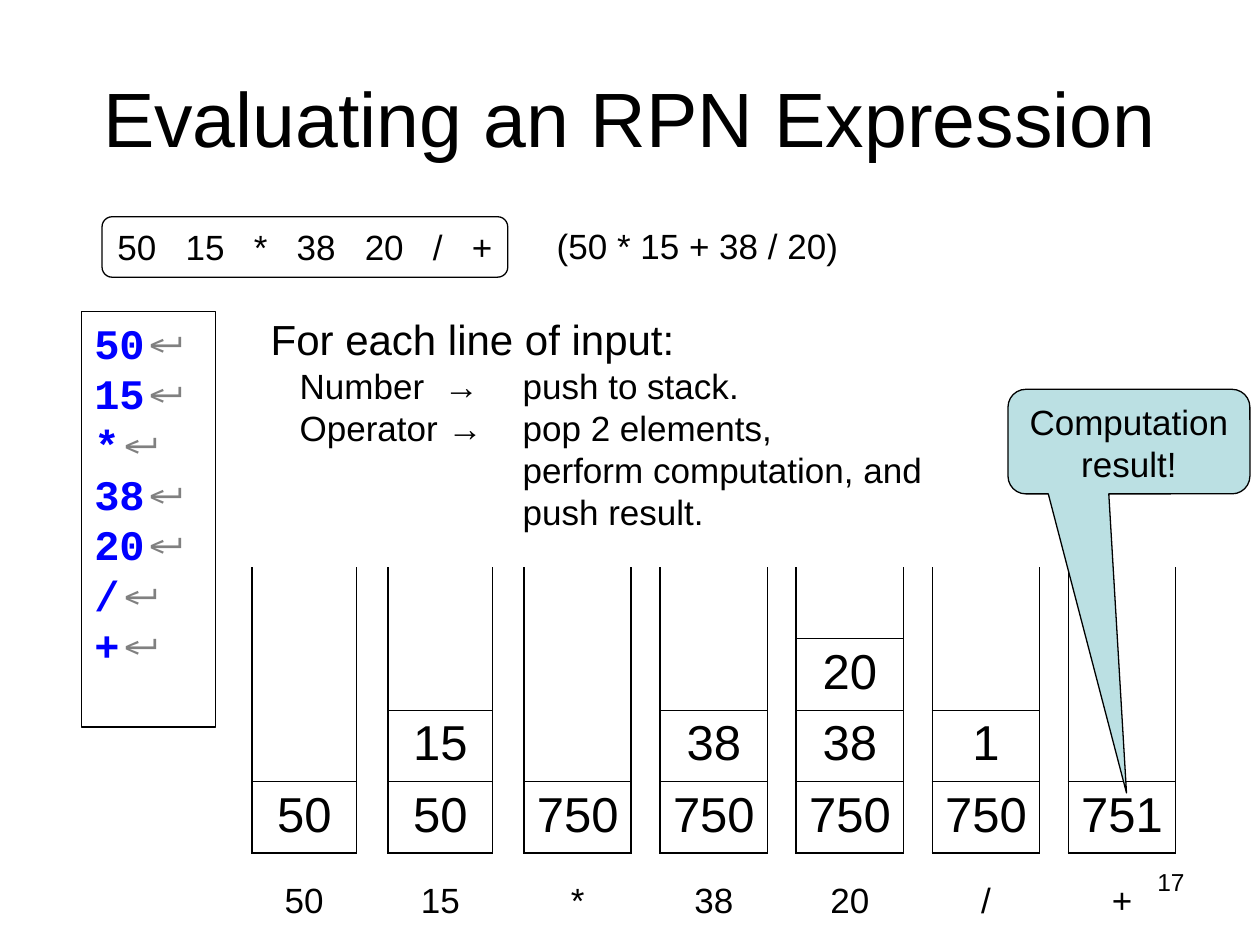
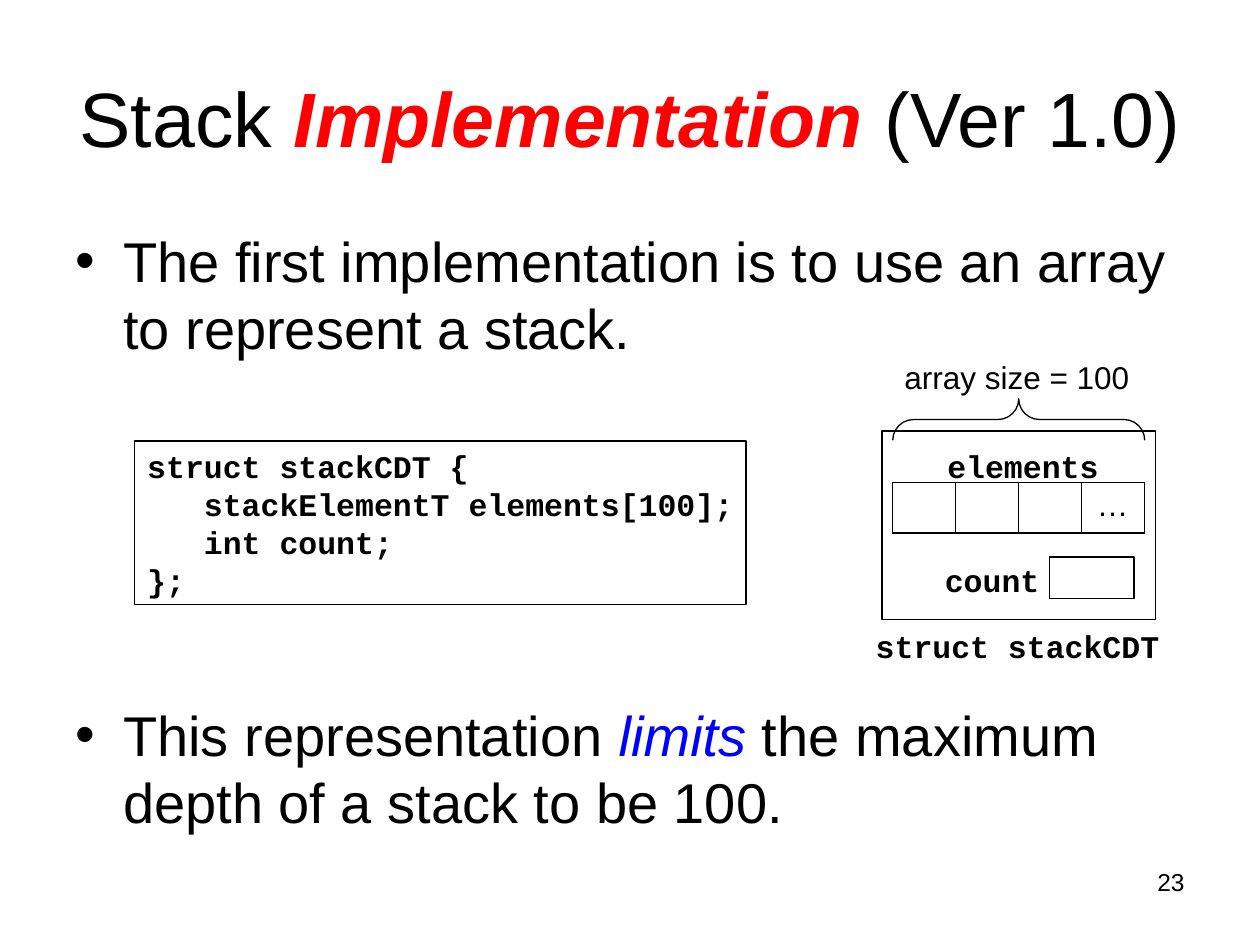
"""Build two lecture slides about evaluating RPN expressions and implementing stacks."""
from dataclasses import dataclass, field
from typing import Any, Optional

import pptx
import pptx.dml.color
import pptx.enum.shapes
import pptx.enum.text
import pptx.oxml.ns
import pptx.util
from lxml import etree
from pptx.util import Inches

BLACK = pptx.dml.color.RGBColor(0x00, 0x00, 0x00)
BLUE = pptx.dml.color.RGBColor(0x00, 0x00, 0xFF)
RED = pptx.dml.color.RGBColor(0xFF, 0x00, 0x00)
GRAY = pptx.dml.color.RGBColor(0x80, 0x80, 0x80)
PALE_TEAL = pptx.dml.color.RGBColor(0xBB, 0xE0, 0xE3)

LEFT = pptx.enum.text.PP_ALIGN.LEFT
CENTER = pptx.enum.text.PP_ALIGN.CENTER
RIGHT = pptx.enum.text.PP_ALIGN.RIGHT
TOP = pptx.enum.text.MSO_ANCHOR.TOP
MIDDLE = pptx.enum.text.MSO_ANCHOR.MIDDLE
SHAPES = pptx.enum.shapes.MSO_SHAPE

LINE_FACTOR = 1.2
THIN, FINE, SIDE = 0.45, 0.75, 1.08
ARIAL = {"name": "Arial", "bold": False, "italic": False}
CODE = {"name": "Courier New", "bold": True}
INPUT_TOKENS = ["50", "15", "*", "38", "20", "/", "+"]


@dataclass
class Run:
    """A stretch of text with its own format and letter spacing in points."""
    text: str
    format: dict[str, Any] = field(default_factory=dict)
    color: pptx.dml.color.RGBColor = BLACK
    spacing: float = 0


@dataclass
class Line:
    """A paragraph with its size and indents."""
    runs: list[Run]
    size: float
    align: Any = LEFT
    margin: float = 0
    indent: float = 0
    bullet: str = ""
    space_before: float = 0


@dataclass
class Box:
    """The place of a shape in inches."""
    left: float
    top: float
    width: float
    height: float

    def lengths(self) -> list[pptx.util.Length]:
        """Return left, top, width and height as lengths."""
        return [Inches(value) for value in (self.left, self.top, self.width, self.height)]


@dataclass
class StackState:
    """The stack after one input token, listed from top to bottom."""
    token: str
    values: list[str]
    width: float = 0.85


STACK_STATES = [
    StackState("50", ["50"], 0.83),
    StackState("15", ["15", "50"], 0.83),
    StackState("*", ["750"]),
    StackState("38", ["38", "750"]),
    StackState("20", ["20", "38", "750"]),
    StackState("/", ["1", "750"]),
    StackState("+", ["751"]),
]


def add_element(parent: Any, tag: str, **attributes: str) -> Any:
    """Append a drawing element to its parent."""
    return etree.SubElement(parent, pptx.oxml.ns.qn(tag), attributes)


def plain(text: str, size: float, align: Any = LEFT, **options: Any) -> Line:
    """Return a line with a single Arial run."""
    return Line([Run(text)], size, align, **options)


def code(text: str, align: Any = LEFT) -> Line:
    """Return a line of bold code."""
    return Line([Run(text, CODE)], 18, align)


def write(frame: Any, lines: list[Line]) -> None:
    """Write formatted lines into a text frame."""
    for index, line in enumerate(lines):
        paragraph = frame.add_paragraph() if index else frame.paragraphs[0]
        properties = paragraph._p.get_or_add_pPr()
        properties.set("marL", str(Inches(line.margin)))
        properties.set("indent", str(Inches(line.indent)))
        if line.bullet:
            add_element(properties, "a:buFont", typeface="Arial")
            add_element(properties, "a:buChar", char=line.bullet)
        settings = {
            "alignment": line.align,
            "line_spacing": pptx.util.Pt(LINE_FACTOR * line.size),
            "space_before": pptx.util.Pt(line.space_before),
        }
        for name, value in settings.items():
            setattr(paragraph, name, value)
        for part in line.runs:
            run = paragraph.add_run()
            run.text = part.text
            for name, value in (ARIAL | {"size": pptx.util.Pt(line.size)} | part.format).items():
                setattr(run.font, name, value)
            run.font.color.rgb = part.color
            if part.spacing:
                run._r.get_or_add_rPr().set("spc", str(round(part.spacing * 100)))


def fill_frame(frame: Any, lines: list[Line], wrap: bool, anchor: Any = TOP) -> None:
    """Set the insets of a text frame and write its lines."""
    settings = {
        "word_wrap": wrap, "vertical_anchor": anchor,
        "margin_left": Inches(0.1), "margin_right": Inches(0.1),
        "margin_top": Inches(0.05), "margin_bottom": Inches(0.05),
    }
    for name, value in settings.items():
        setattr(frame, name, value)
    write(frame, lines)


def add_text(slide: Any, box: Box, lines: list[Line], wrap: bool = False) -> None:
    """Add a text box."""
    fill_frame(slide.shapes.add_textbox(*box.lengths()).text_frame, lines, wrap)


def add_outline(slide: Any, kind: Any, box: Box, lines: Optional[list[Line]] = None,
                wrap: bool = False, anchor: Any = TOP) -> Any:
    """Add an unfilled shape with a thin black line."""
    shape = slide.shapes.add_shape(kind, *box.lengths())
    shape.shadow.inherit = False
    shape.fill.background()
    shape.line.color.rgb = BLACK
    shape.line.width = pptx.util.Pt(FINE)
    if lines:
        fill_frame(shape.text_frame, lines, wrap, anchor)
    return shape


def format_cell(cell: Any, left: float, right: float, top: float, bottom: float) -> None:
    """Clear a table cell and draw its four borders, with width zero for none."""
    cell.margin_top = Inches(0.02)
    properties = cell._tc.get_or_add_tcPr()
    for side, width in zip("LRTB", (left, right, top, bottom)):
        border = add_element(properties, f"a:ln{side}", w=str(pptx.util.Pt(width)))
        if width:
            fill = add_element(border, "a:solidFill")
            add_element(fill, "a:srgbClr", val=str(BLACK))
        else:
            add_element(border, "a:noFill")
    cell.fill.background()


def add_plain_table(slide: Any, rows: int, columns: int, box: Box) -> Any:
    """Add a table without banding."""
    table = slide.shapes.add_table(rows, columns, *box.lengths()).table
    for name in ("first_row", "horz_banding"):
        setattr(table, name, False)
    return table


def add_stack(slide: Any, index: int, state: StackState) -> None:
    """Draw one stack as a table open at the top, with its token below."""
    rows = 4
    left = 2 + 1.08 * index
    table = add_plain_table(slide, rows, 1, Box(left, 4.5, state.width, 2.27))
    first = rows - len(state.values)
    for row in range(rows):
        cell = table.cell(row, 0)
        top = THIN if row >= first else 0
        bottom = SIDE if row == rows - 1 else THIN if row >= first - 1 else 0
        format_cell(cell, SIDE, SIDE, top, bottom)
        if row >= first:
            write(cell.text_frame, [plain(state.values[row - first], 28, CENTER)])
    add_text(slide, Box(left, 6.92, state.width, 0.44), [plain(state.token, 20, CENTER)])


def add_titled_slide(presentation: Any, title_runs: list[Run], number: int) -> Any:
    """Add a slide with its title and page number."""
    slide = presentation.slides.add_slide(presentation.slide_layouts[5])
    title = slide.shapes.title
    title.left, title.top, title.width, title.height = Box(0.5, 0.3, 9, 1.25).lengths()
    fill_frame(title.text_frame, [Line(title_runs, 44, CENTER)], True, MIDDLE)
    add_text(slide, Box(7.17, 6.83, 2.33, 0.52), [plain(str(number), 14, RIGHT)], True)
    return slide


def build_evaluation_slide(presentation: Any) -> None:
    """Build the slide that traces the stack for each input token."""
    slide = add_titled_slide(presentation, [Run("Evaluating an RPN Expression")], 17)
    add_text(slide, Box(4.32, 1.73, 2.8, 0.44), [plain("(50 * 15 + 38 / 20)", 20)], True)
    keyed_lines = [Line([Run(token, CODE, BLUE), Run("↵", {"bold": True}, GRAY)], 24)
                   for token in INPUT_TOKENS]
    add_outline(slide, SHAPES.RECTANGLE, Box(0.65, 2.47, 1.06, 3.3), keyed_lines, True)
    for index, state in enumerate(STACK_STATES):
        add_stack(slide, index, state)

    callout = add_outline(slide, SHAPES.ROUNDED_RECTANGULAR_CALLOUT, Box(8, 3.09, 1.92, 0.83),
                          [plain("Computation result!", 20, CENTER)], True)
    callout.fill.solid()
    callout.fill.fore_color.rgb = PALE_TEAL
    for index, value in enumerate((-0.01, 3.36, 0.17)):
        callout.adjustments[index] = value

    rules = [Line([Run(kind), Run(" ", spacing=gap), Run(f"→\t{action}")], 20, indent=0.23)
             for kind, gap, action in (("Number", 5.6, "push to stack."),
                                       ("Operator", 0, "pop 2 elements,"))]
    steps = [plain(text, 20, margin=2) for text in ("perform computation, and", "push result.")]
    add_text(slide, Box(2.05, 2.44, 5.5, 1.84),
             [plain("For each line of input:", 24), *rules, *steps], True)

    expression = [Run(INPUT_TOKENS[0])]
    for token in INPUT_TOKENS[1:]:
        expression += [Run(" ", spacing=11.1), Run(token)]
    add_outline(slide, SHAPES.ROUNDED_RECTANGLE, Box(0.81, 1.72, 3.22, 0.48),
                [Line(expression, 20, CENTER)], False, MIDDLE)


def build_implementation_slide(presentation: Any) -> None:
    """Build the slide that shows the array-based stack structure."""
    emphasis = Run("Implementation", {"bold": True, "italic": True}, RED)
    slide = add_titled_slide(presentation, [Run("Stack "), emphasis, Run(" (Ver 1.0)")], 23)
    bullet = {"size": 32, "margin": 0.38, "indent": -0.38, "bullet": "•"}
    add_text(slide, Box(0.5, 1.75, 9, 4.95), [
        Line([Run("The first implementation is to use an array to represent a stack.")], **bullet),
        Line([Run("This representation "), Run("limits", {"italic": True}, BLUE),
              Run(" the maximum depth of a stack to be 100.")], space_before=194, **bullet),
    ], True)

    source = ["struct stackCDT {", "   stackElementT elements[100];", "   int count;", "};"]
    add_outline(slide, SHAPES.RECTANGLE, Box(1.07, 3.5, 4.85, 1.3), [code(text) for text in source])
    for box in (Box(7, 3.42, 2.17, 1.5), Box(8.33, 4.42, 0.67, 0.33)):
        add_outline(slide, SHAPES.RECTANGLE, box)

    columns = 4
    elements = add_plain_table(slide, 1, columns, Box(7.08, 3.83, 2, 0.4))
    for column in range(columns):
        left = THIN if column else FINE
        right = THIN if column < columns - 1 else FINE
        format_cell(elements.cell(0, column), left, right, FINE, FINE)
    write(elements.cell(0, columns - 1).text_frame, [plain("…", 18, CENTER)])

    add_text(slide, Box(7.4, 4.4, 0.95, 0.4), [code("count")])
    add_text(slide, Box(7.42, 3.5, 1.4, 0.4), [code("elements")])
    add_text(slide, Box(6.85, 4.93, 2.45, 0.4), [code("struct stackCDT", CENTER)])
    add_text(slide, Box(7.08, 2.79, 2.3, 0.4), [plain("array size = 100", 18)], True)
    brace = add_outline(slide, SHAPES.LEFT_BRACE, Box(7.92, 2.33, 0.33, 2))
    brace.rotation = 90
    brace.adjustments[0] = 0.5


def main() -> None:
    """Build and save the presentation."""
    presentation = pptx.Presentation()
    presentation.slide_width, presentation.slide_height = Inches(10), Inches(7.5)
    build_evaluation_slide(presentation)
    build_implementation_slide(presentation)
    presentation.save("out.pptx")


if __name__ == "__main__":
    main()
